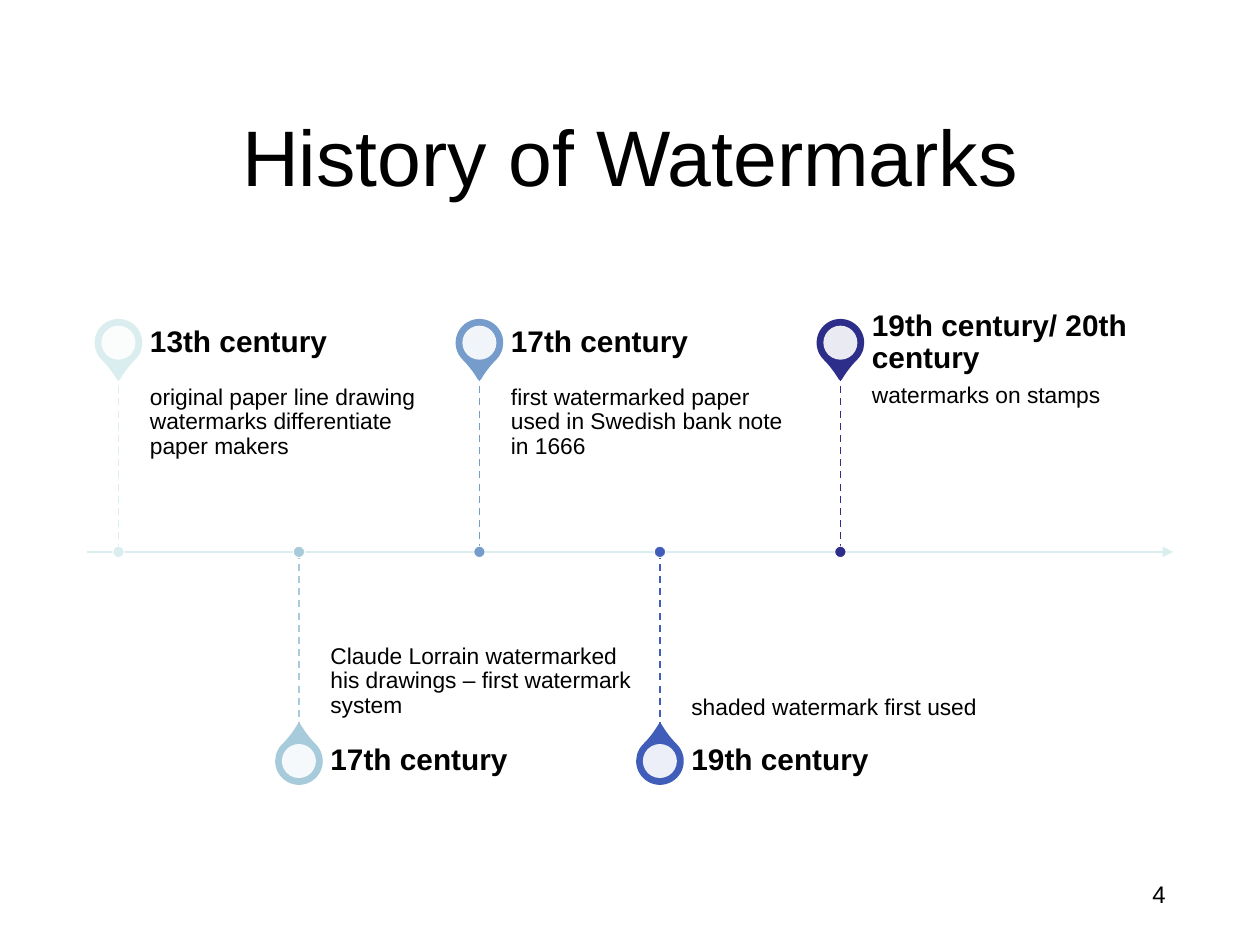
from dataclasses import dataclass

from lxml import etree
from pptx import Presentation
from pptx.dml.color import RGBColor
from pptx.enum.dml import MSO_LINE
from pptx.enum.shapes import MSO_CONNECTOR, MSO_SHAPE
from pptx.enum.text import MSO_ANCHOR, PP_ALIGN
from pptx.oxml.ns import qn
from pptx.util import Inches, Pt

EVENTS = [
    ("13th century", "original paper line drawing watermarks differentiate paper makers", "DAEDEF"),
    ("17th century", "Claude Lorrain watermarked his drawings – first watermark system", "A8CBDC"),
    ("17th century", "first watermarked paper used in Swedish bank note in 1666", "759CCB"),
    ("19th century", "shaded watermark first used", "415DBA"),
    ("19th century/ 20th century", "watermarks on stamps", "2D2D8A"),
]


@dataclass
class Box:
    left: float
    top: float
    width: float
    height: float


def color(value):
    return RGBColor.from_string(value)


def add_text(slide, box, text, size, insets, anchor=MSO_ANCHOR.TOP,
             align=PP_ALIGN.LEFT, bold=False, spacing=1.0):
    shape = slide.shapes.add_textbox(
        Inches(box.left), Inches(box.top), Inches(box.width), Inches(box.height))
    frame = shape.text_frame
    frame.word_wrap = True
    frame.vertical_anchor = anchor
    frame.margin_left, frame.margin_top, frame.margin_right, frame.margin_bottom = map(Inches, insets)
    paragraph = frame.paragraphs[0]
    paragraph.text = text
    paragraph.alignment = align
    paragraph.line_spacing = spacing
    paragraph.font.name = "Arial"
    paragraph.font.size = Pt(size)
    paragraph.font.bold = bold
    paragraph.font.color.rgb = color("000000")


def add_line(slide, start, end, line_color, width):
    line = slide.shapes.add_connector(
        MSO_CONNECTOR.STRAIGHT, *map(Inches, (*start, *end)))
    line.line.color.rgb = color(line_color)
    line.line.width = Pt(width)
    etree.SubElement(line._element.spPr, qn("a:effectLst"))
    return line


def add_centered_shape(slide, kind, x, y, size, fill, outline=None, width=0):
    shape = slide.shapes.add_shape(
        kind, Inches(x - size / 2), Inches(y - size / 2), Inches(size), Inches(size))
    shape.shadow.inherit = False
    shape.fill.solid()
    shape.fill.fore_color.rgb = color(fill)
    if outline:
        shape.line.color.rgb = color(outline)
        shape.line.width = Pt(width)
    else:
        shape.line.fill.background()
    return shape


def add_pin(slide, x, y, pin_color, rotation):
    drop = add_centered_shape(slide, MSO_SHAPE.TEAR, x, y, 0.35, pin_color, pin_color, 2)
    drop.adjustments[0] = 1.15
    drop.rotation = rotation
    center = add_centered_shape(slide, MSO_SHAPE.OVAL, x, y, 0.27, "FFFFFF")
    fill = center._element.spPr.find(qn("a:solidFill"))
    etree.SubElement(fill[0], qn("a:alpha"), val="90000")


def add_event(slide, box, event, above):
    label, description, event_color = event
    label_height = 0.5
    stem_height = box.height - label_height
    text_left, text_width = box.left + 0.25, box.width - 0.25
    if above:
        label_top, body_top = box.top, box.top + label_height
        stem_start, axis_y = body_top, box.top + box.height
        rotation, insets, anchor = 135, (0, 0.09, 0.09, 0.14), MSO_ANCHOR.TOP
    else:
        label_top, body_top = box.top + stem_height, box.top
        stem_start, axis_y = label_top, box.top
        rotation, insets, anchor = 315, (0, 0.14, 0, 0.09), MSO_ANCHOR.BOTTOM

    add_pin(slide, box.left, label_top + label_height / 2, event_color, rotation)
    add_text(slide, Box(text_left, body_top, text_width, stem_height),
             description, 13, insets, anchor, spacing=0.9)
    add_text(slide, Box(text_left, label_top, text_width, label_height),
             label, 17, (0, 0, 0.12, 0), MSO_ANCHOR.MIDDLE, bold=True, spacing=0.9)
    ends = sorted([stem_start, axis_y])
    stem = add_line(slide, (box.left, ends[0]), (box.left, ends[1]), event_color, 1)
    stem.line.dash_style = MSO_LINE.DASH
    add_centered_shape(slide, MSO_SHAPE.OVAL, box.left, axis_y, 0.09, event_color, "FFFFFF", 0.5)


def add_timeline(slide, box):
    middle = box.top + box.height / 2
    right = box.left + box.width
    axis = add_line(slide, (box.left, middle), (right, middle), "DAEDEF", 1.5)
    etree.SubElement(axis.line._get_or_add_ln(), qn("a:tailEnd"), type="triangle")

    event_width = 2.64
    first = box.left + 0.25
    step = (right - event_width - first) / (len(EVENTS) - 1)
    for index, event in enumerate(EVENTS):
        above = index % 2 == 0
        top = box.top if above else middle
        add_event(slide, Box(first + index * step, top, event_width, box.height / 2), event, above)


def add_title(slide, box):
    add_text(slide, box, "History of Watermarks", 45, (0.06,) * 4,
             MSO_ANCHOR.MIDDLE, PP_ALIGN.CENTER)


def add_slide_number(slide, box):
    add_text(slide, box, "4", 13.7, (0.06,) * 4, align=PP_ALIGN.RIGHT, spacing=0.87)


def main():
    presentation = Presentation()
    presentation.slide_width = Inches(10)
    presentation.slide_height = Inches(7.5)
    slide = presentation.slides.add_slide(presentation.slide_layouts[6])
    add_title(slide, Box(0.69, 0.61, 8.62, 1.24))
    add_slide_number(slide, Box(7.06, 6.95, 2.25, 0.4))
    add_timeline(slide, Box(0.69, 2.47, 8.62, 3.82))
    presentation.save("out.pptx")


if __name__ == "__main__":
    main()
